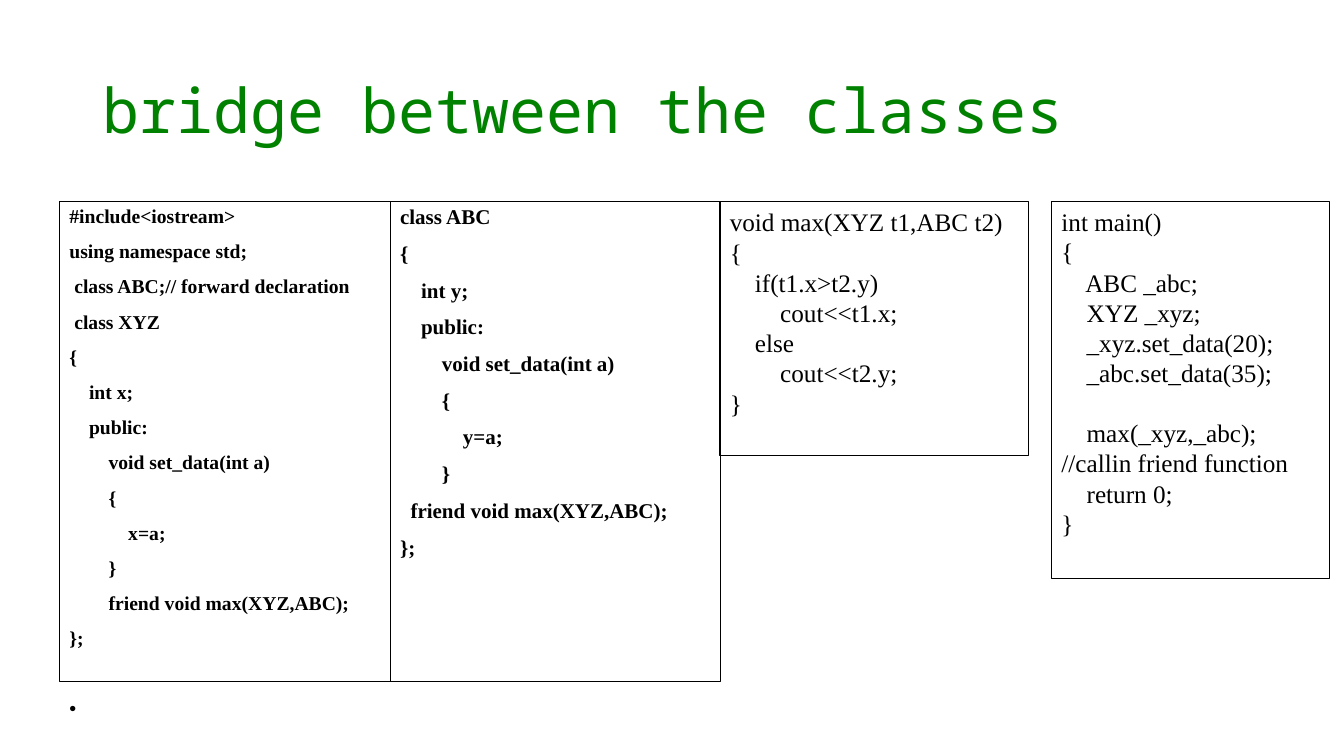
from lxml.etree import SubElement
from pptx import Presentation
from pptx.dml.color import RGBColor
from pptx.enum.text import MSO_ANCHOR as Anchor
from pptx.oxml.ns import qn
from pptx.util import Pt

PX = 9144  # 100 px to the inch
BLACK, GREEN = "000000", "008200"


def color(value):
    return RGBColor.from_string(value)


def add_text(text, left, top, width, height, size, font="Times New Roman",
             ink=BLACK, bold=False, spacing=None, before=0, outline=None,
             anchor=Anchor.TOP, gaps=None, bullet_line=None):
    """gaps maps a line number to its own space before, in points."""
    box = slide.shapes.add_textbox(left * PX, top * PX, width * PX, height * PX)
    if outline:
        box.line.color.rgb = color(outline)
        box.line.width = Pt(0.75)
    frame = box.text_frame
    frame.word_wrap = True
    frame.vertical_anchor = anchor
    for number, line in enumerate(text.split("\n")):
        paragraph = frame.add_paragraph() if number else frame.paragraphs[0]
        if number:
            paragraph.space_before = Pt((gaps or {}).get(number, before))
        if spacing:
            paragraph.line_spacing = spacing
        if number == bullet_line:
            properties = paragraph._p.get_or_add_pPr()
            properties.set("marL", str(25 * PX))
            properties.set("indent", str(-25 * PX))
            SubElement(properties, qn("a:buFont"), typeface="Arial")
            SubElement(properties, qn("a:buChar"), char="•")
        run = paragraph.add_run()
        run.text = line
        run.font.size = Pt(size)
        run.font.name = font
        run.font.bold = bold
        run.font.color.rgb = color(ink)


presentation = Presentation()
presentation.slide_width, presentation.slide_height = 1333 * PX, 750 * PX
slide = presentation.slides.add_slide(presentation.slide_layouts[6])

# Title
add_text("bridge between the classes", 92, 40, 1150, 145, 44,
         font="Noto Sans Mono", ink=GREEN, spacing=0.9, anchor=Anchor.MIDDLE)

# Code of the two classes; the last line of the first is a bare bullet
xyz_class = """#include<iostream>
using namespace std;
 class ABC;// forward declaration
 class XYZ
{
    int x;
    public:
        void set_data(int a)
        {
            x=a;
        }
        friend void max(XYZ,ABC);
};
 """
abc_class = """class ABC
{
    int y;
    public:
        void set_data(int a)
        {
            y=a;
        }
  friend void max(XYZ,ABC);
};"""
class_style = dict(bold=True, spacing=0.9, before=10, outline=BLACK)
add_text(xyz_class, 59, 200, 328, 476, 14, gaps={13: 35}, bullet_line=13,
         **class_style)
add_text(abc_class, 387, 200, 328, 476, 15, **class_style)

# Code of the friend function and of main
max_function = """void max(XYZ t1,ABC t2)
{
    if(t1.x>t2.y)
        cout<<t1.x;
    else
        cout<<t2.y;
}"""
main_function = """int main()
{
    ABC _abc;
    XYZ _xyz;
    _xyz.set_data(20);
    _abc.set_data(35);
    max(_xyz,_abc);  //callin friend function
    return 0;
}"""
add_text(max_function, 714, 200, 306, 252, 18, outline=BLACK)
add_text(main_function, 1043, 200, 276, 374, 18, outline=BLACK, gaps={6: 21})

presentation.save("out.pptx")
